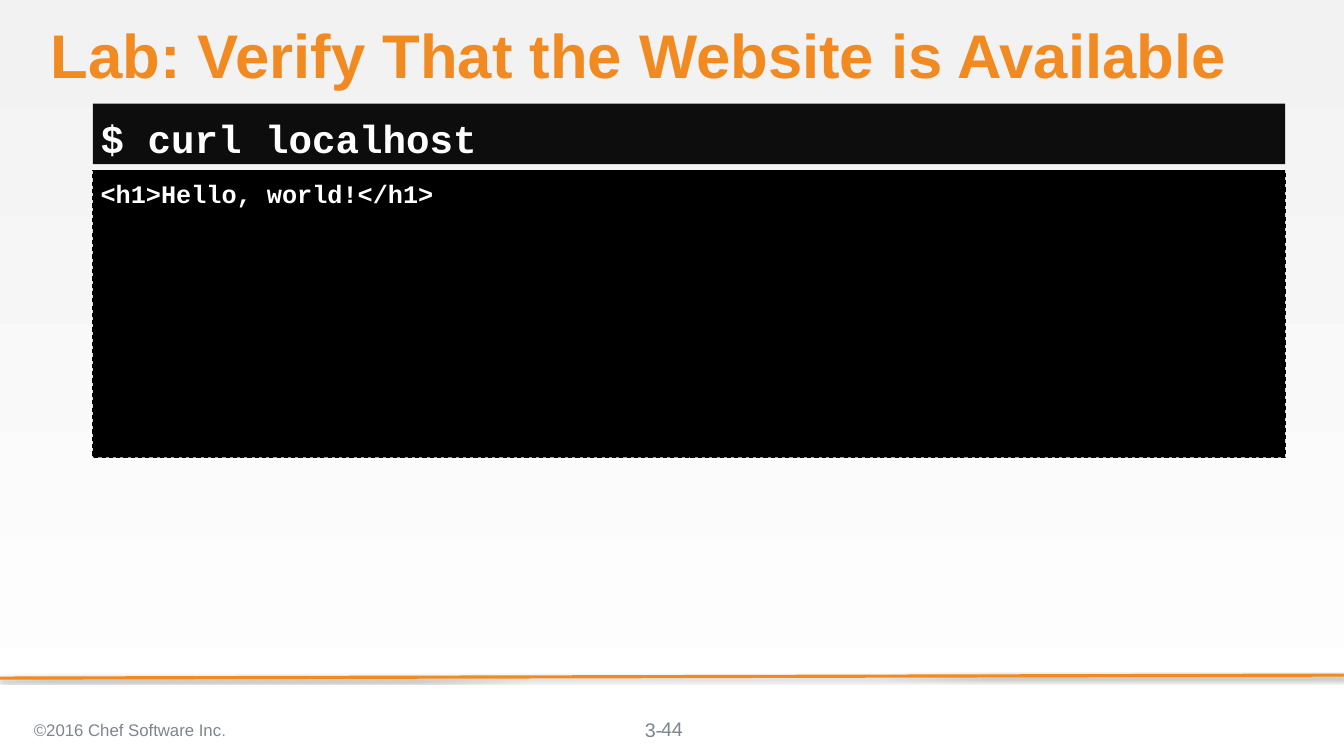
from lxml import etree
from pptx import Presentation
from pptx.dml.color import RGBColor
from pptx.enum.dml import MSO_LINE
from pptx.enum.shapes import MSO_CONNECTOR
from pptx.enum.text import MSO_ANCHOR, MSO_AUTO_SIZE, PP_ALIGN
from pptx.oxml import parse_xml
from pptx.oxml.ns import nsdecls, qn
from pptx.util import Inches, Pt

TOP, MIDDLE = MSO_ANCHOR.TOP, MSO_ANCHOR.MIDDLE
LEFT, CENTER = PP_ALIGN.LEFT, PP_ALIGN.CENTER
NO_AUTOFIT = MSO_AUTO_SIZE.NONE
STRAIGHT = MSO_CONNECTOR.STRAIGHT
DASH = MSO_LINE.DASH

SLIDE_WIDTH, SLIDE_HEIGHT = 17.78, 10
TWO_CONTENT_LAYOUT = 3
TERMINAL_LEFT, TERMINAL_WIDTH = 1.23, 15.77
COLORS = {
    "orange": "F18B21",
    "grey": "7D868C",
    "period": "929494",
    "white": "FFFFFF",
    "pale": "F2F2F2",
    "prompt": "0D0D0D",
    "black": "000000",
}


def rgb(name):
    return RGBColor.from_string(COLORS[name])


def place(shape, left, top, width, height):
    bounds = {"left": left, "top": top, "width": width, "height": height}
    for name, value in bounds.items():
        setattr(shape, name, Inches(value))


def add_run(paragraph, text, size, color, font="Arial", bold=False):
    run = paragraph.add_run()
    run.text = text
    for name, value in {"name": font, "size": Pt(size), "bold": bold}.items():
        setattr(run.font, name, value)
    run.font.color.rgb = rgb(color)


def prepare_text(shape, insets, anchor=TOP, align=LEFT, line_spacing=1):
    frame = shape.text_frame
    left, top, right, bottom = insets
    frame_format = {
        "word_wrap": True,
        "auto_size": NO_AUTOFIT,
        "vertical_anchor": anchor,
        "margin_left": Inches(left),
        "margin_top": Inches(top),
        "margin_right": Inches(right),
        "margin_bottom": Inches(bottom),
    }
    for name, value in frame_format.items():
        setattr(frame, name, value)
    paragraph = frame.paragraphs[0]
    paragraph_format = {
        "alignment": align,
        "line_spacing": line_spacing,
        "space_before": Pt(0),
    }
    for name, value in paragraph_format.items():
        setattr(paragraph, name, value)
    return paragraph


def paint_background(slide):
    fill = slide.background.fill
    fill.gradient()
    fill.gradient_angle = 270
    for stop, position, color in zip(fill.gradient_stops, (0, 1), ("pale", "white")):
        stop.position = position
        stop.color.rgb = rgb(color)


def add_footer_rule(slide):
    rule = slide.shapes.add_connector(
        STRAIGHT, Inches(SLIDE_WIDTH), Inches(8.93), Inches(0), Inches(8.97)
    )
    rule.line.color.rgb = rgb("orange")
    rule.line.width = Pt(3)
    rule.element.spPr.append(parse_xml(
        f'<a:effectLst {nsdecls("a")}>'
        f'<a:outerShdw blurRad="{Pt(3.1)}" dist="{Pt(1.8)}" dir="5400000" rotWithShape="0">'
        f'<a:srgbClr val="{COLORS["black"]}"><a:alpha val="35000"/></a:srgbClr>'
        '</a:outerShdw></a:effectLst>'
    ))


def write_title(slide, text):
    title = slide.shapes.title
    place(title, 0.67, 0.33, 16.33, 0.91)
    paragraph = prepare_text(title, (0, 0, 0, 0), line_spacing=0.9)
    add_run(paragraph, text, 58.7, "orange", bold=True)


def write_terminal(panel, text, top, height, size, fill, insets, anchor=TOP):
    place(panel, TERMINAL_LEFT, top, TERMINAL_WIDTH, height)
    panel.fill.solid()
    panel.fill.fore_color.rgb = rgb(fill)
    paragraph = prepare_text(panel, insets, anchor)
    properties = paragraph._p.get_or_add_pPr()
    properties.set("marL", "0")
    properties.set("indent", "0")
    etree.SubElement(properties, qn("a:buNone"))
    add_run(paragraph, text, size, "white", "Courier New", True)


def add_label(slide, bounds, runs, size, insets=(0.1, 0.05, 0.1, 0.05),
              anchor=MIDDLE, align=LEFT):
    label = slide.shapes.add_textbox(*map(Inches, bounds))
    paragraph = prepare_text(label, insets, anchor, align)
    for text, color in runs:
        add_run(paragraph, text, size, color)


def main():
    deck = Presentation()
    deck.slide_width, deck.slide_height = Inches(SLIDE_WIDTH), Inches(SLIDE_HEIGHT)
    slide = deck.slides.add_slide(deck.slide_layouts[TWO_CONTENT_LAYOUT])
    output, command = slide.placeholders[1], slide.placeholders[2]

    paint_background(slide)
    add_footer_rule(slide)
    write_title(slide, "Lab: Verify That the Website is Available")
    write_terminal(output, "<h1>Hello, world!</h1>", 2.25, 3.8, 24, "black",
                   (0.1, 0.11, 0.1, 0.05))
    output.line.color.rgb = rgb("black")
    output.line.width = Pt(1)
    output.line.dash_style = DASH
    write_terminal(command, "$ curl localhost", 1.37, 0.8, 37.3, "prompt",
                   (0.1, 0.11, 0, 0), MIDDLE)

    add_label(slide, (0.35, 9.38, 6.21, 0.56),
              [("©2016 Chef Software Inc", "grey"), (".", "period")], 16)
    add_label(slide, (8.53, 9.49, 0.76, 0.31), [("3-", "grey")], 18.7,
              (0, 0, 0, 0), TOP)
    add_label(slide, (6.89, 9.38, 4, 0.53), [("44", "grey")], 18.7, align=CENTER)
    deck.save("out.pptx")


if __name__ == "__main__":
    main()
